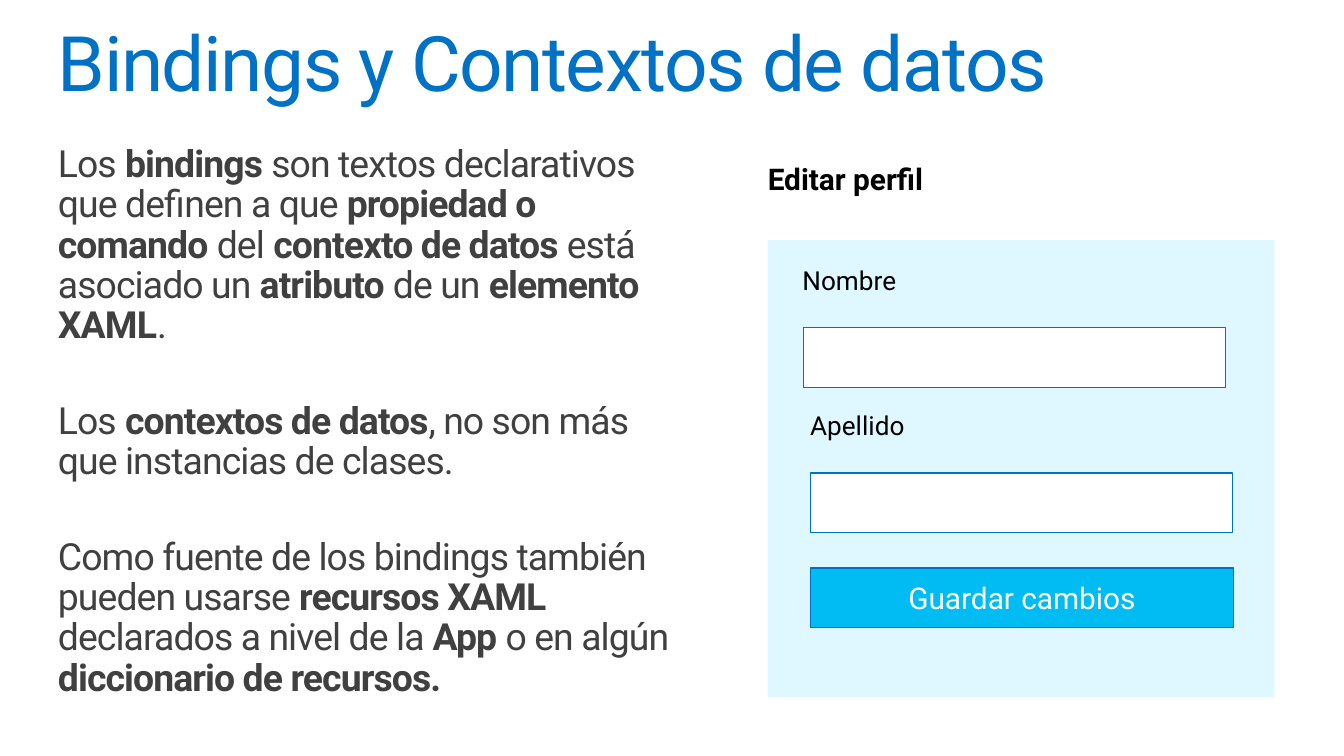
"""Build a slide on bindings and data contexts with a sample profile form."""
from pptx import Presentation
from pptx.dml.color import RGBColor
from pptx.enum.shapes import MSO_SHAPE
from pptx.enum.text import MSO_ANCHOR, PP_ALIGN
from pptx.util import Pt

RECT = MSO_SHAPE.RECTANGLE
TOP, MIDDLE = MSO_ANCHOR.TOP, MSO_ANCHOR.MIDDLE
LEFT, CENTER = PP_ALIGN.LEFT, PP_ALIGN.CENTER
BLUE, CYAN, PALE = "0072C6", "00BCF2", "DFF8FF"
WHITE, BLACK, GRAY = "FFFFFF", "000000", "404040"


def rgb(value):
    return RGBColor.from_string(value)


def write(sp, *paragraphs, size=14, color=BLACK, bold=False, spacing=0, line=1.0,
          gap=0, align=LEFT, anchor=TOP, inset=0, wrap=True):
    """Fill a shape with paragraphs, where ** switches bold on and off."""
    tf = sp.text_frame
    tf.word_wrap = wrap
    tf.vertical_anchor = anchor
    tf.margin_left = tf.margin_right = tf.margin_top = tf.margin_bottom = Pt(inset)
    for i, text in enumerate(paragraphs):
        p = tf.add_paragraph() if i else tf.paragraphs[0]
        p.alignment = align
        p.line_spacing = line
        if i:
            p.space_before = Pt(gap)
        for j, part in enumerate(text.split("**")):
            if not part:
                continue
            r = p.add_run()
            r.text = part
            r.font.name = "Roboto"
            r.font.size = Pt(size)
            r.font.bold = bold or j % 2 == 1
            r.font.color.rgb = rgb(color)
            if spacing:
                r._r.get_or_add_rPr().set("spc", str(round(spacing * 100)))


prs = Presentation()
prs.slide_width, prs.slide_height = Pt(720), Pt(405)
s = prs.slides.add_slide(prs.slide_layouts[6])

title = s.shapes.add_textbox(Pt(31), Pt(13.7), Pt(659), Pt(44.6))
write(title, "Bindings y Contextos de datos", size=41, color=BLUE, spacing=-0.8, line=0.9)

body = s.shapes.add_textbox(Pt(31), Pt(77.8), Pt(336), Pt(306))
write(
    body,
    "Los **bindings** son textos declarativos que definen a que **propiedad o comando **"
    "del **contexto de datos** está asociado un **atributo** de un **elemento XAML**.",
    "Los **contextos de datos**, no son más que instancias de clases.",
    "Como fuente de los bindings también pueden usarse **recursos XAML** declarados "
    "a nivel de la **App** o en algún **diccionario de recursos.**",
    size=20, color=GRAY, spacing=-0.5, line=0.9, gap=29.6,
)

boxes = {}
for name, x, y, w, h, fill, outline in [
    ("panel", 411.3, 128.7, 271.4, 244.8, PALE, None),
    ("nombre", 430.4, 175.6, 226, 32, WHITE, BLUE),
    ("apellido", 434.3, 253.4, 226, 32, WHITE, BLUE),
    ("guardar", 434.3, 304.2, 226.5, 32, CYAN, BLUE),
]:
    sp = s.shapes.add_shape(RECT, Pt(x), Pt(y), Pt(w), Pt(h))
    sp.shadow.inherit = False
    sp.fill.solid()
    sp.fill.fore_color.rgb = rgb(fill)
    if outline:
        sp.line.color.rgb = rgb(outline)
        sp.line.width = Pt(0.75)
    else:
        sp.line.fill.background()
    boxes[name] = sp
write(boxes["guardar"], "Guardar cambios", size=16, color=WHITE,
      align=CENTER, anchor=MIDDLE, inset=3.6)

for text, x, y, w, h, size, bold in [
    ("Editar perfil", 411.3, 85.9, 110, 26, 16, True),
    ("Nombre", 429.9, 141.4, 63.5, 23, 14, False),
    ("Apellido", 434, 219.2, 63.5, 23, 14, False),
]:
    label = s.shapes.add_textbox(Pt(x), Pt(y), Pt(w), Pt(h))
    write(label, text, size=size, bold=bold, wrap=False)

prs.save("out.pptx")
